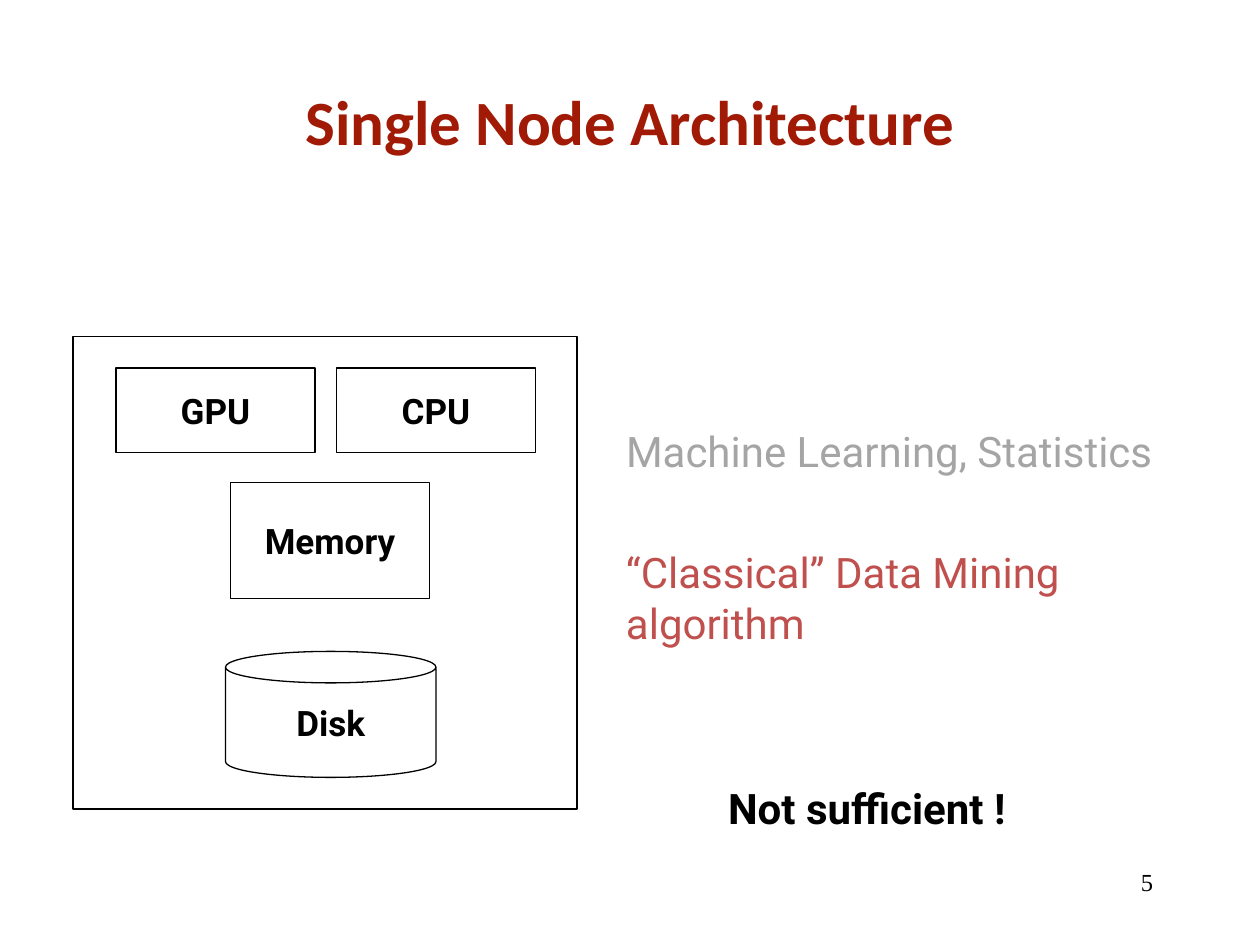
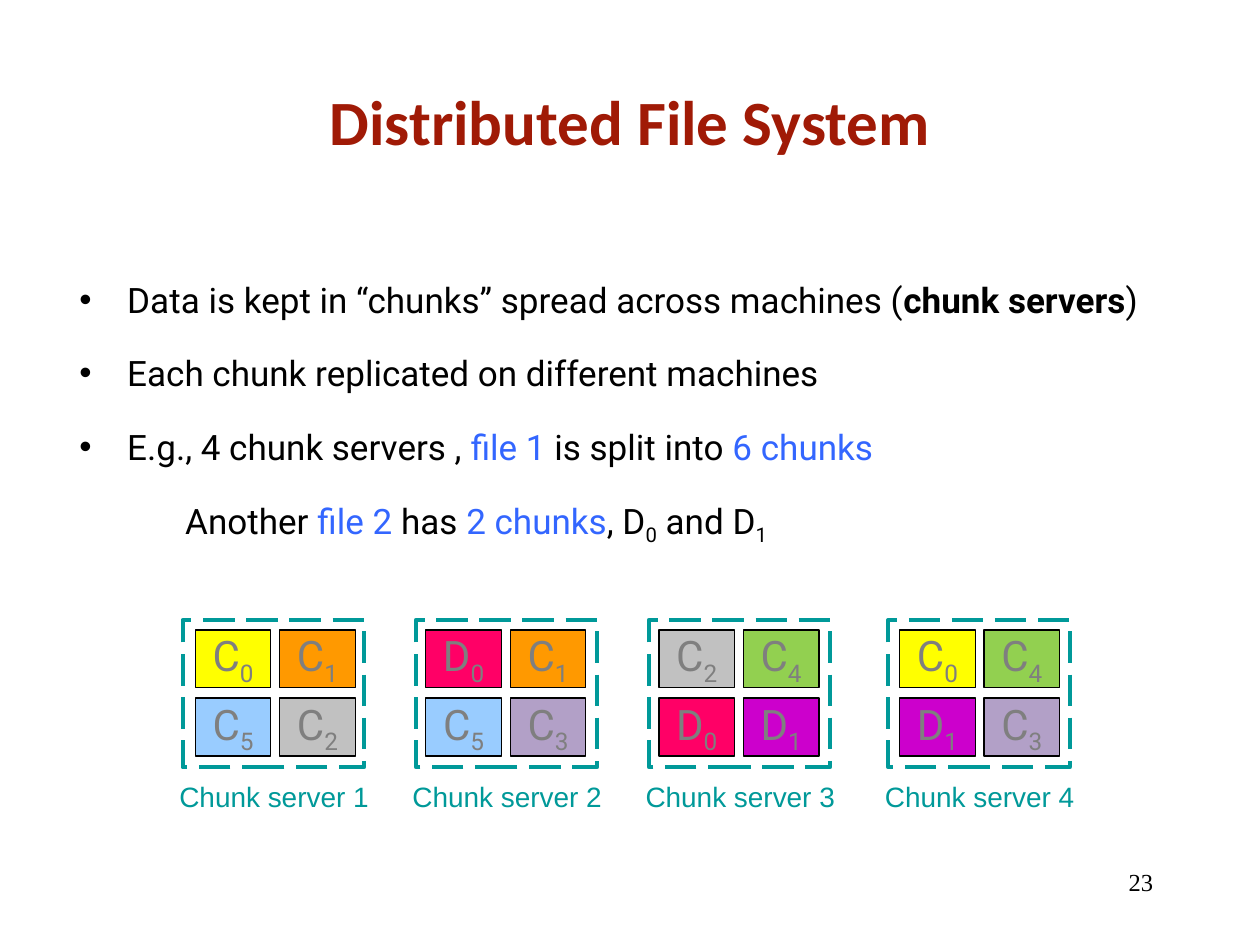
"""Build two slides on single node architecture and distributed file systems."""

from dataclasses import dataclass
from itertools import product

from lxml.etree import SubElement
from pptx import Presentation
from pptx.dml.color import RGBColor
from pptx.enum.dml import MSO_LINE
from pptx.enum.shapes import MSO_SHAPE as Shape
from pptx.enum.text import MSO_ANCHOR as Anchor, MSO_AUTO_SIZE as AutoSize, PP_ALIGN as Align
from pptx.oxml.ns import qn
from pptx.util import Inches, Pt


@dataclass(frozen=True)
class Theme:
    """Colours, fonts and type sizes shared by the slides."""

    title: str = "A01A06"
    text: str = "000000"
    muted: str = "A5A5A5"
    alert: str = "C0504D"
    accent: str = "3366FF"
    server: str = "009999"
    chunk_text: str = "7F7F7F"
    title_font: str = "Calibri"
    body_font: str = "Roboto"
    label_font: str = "Arial"
    number_font: str = "Times New Roman"
    title_size: int = 36
    note_size: int = 24
    body_size: int = 20
    label_size: int = 16
    number_size: int = 14
    thin: float = 0.75
    thick: float = 2.25


@dataclass(frozen=True)
class Style:
    """Look of a run of text."""

    size: int
    color: str = "000000"
    font: str = "Roboto"
    bold: bool = False
    subscript: bool = False


@dataclass(frozen=True)
class Server:
    """A chunk server: frame position, chunk position and chunk names by row."""

    frame_left: float
    chunk_left: float
    chunks: tuple


THEME = Theme()
BODY = Style(THEME.body_size)
BODY_BOLD = Style(THEME.body_size, bold=True)
BODY_ACCENT = Style(THEME.body_size, THEME.accent)
BODY_SUB = Style(THEME.body_size, subscript=True)
TITLE = Style(THEME.title_size, THEME.title, THEME.title_font, bold=True)
NUMBER = Style(THEME.number_size, THEME.text, THEME.number_font)
LABEL = Style(THEME.label_size, THEME.server, THEME.label_font)
CHUNK = Style(THEME.note_size, THEME.chunk_text)
CHUNK_SUB = Style(THEME.note_size, THEME.chunk_text, subscript=True)

TITLE_AND_CONTENT, TITLE_ONLY = 1, 5
BULLET_INDENT = 0.38
CHUNK_FILLS = {
    "C0": "FFFF00", "C1": "FF9900", "C2": "C1C1C1", "C3": "B2A0C7",
    "C4": "92D050", "C5": "99CCFF", "D0": "FF0066", "D1": "CC00CC",
}
SERVERS = (
    Server(1.45, 1.55, ("C0", "C1", "C5", "C2")),
    Server(3.3, 3.38, ("D0", "C1", "C5", "C3")),
    Server(5.15, 5.23, ("C2", "C4", "D0", "D1")),
    Server(7.05, 7.14, ("C0", "C4", "D1", "C3")),
)
BULLETS = (
    (("Data is kept in “chunks” spread across machines (", BODY),
     ("chunk servers", BODY_BOLD), (")", BODY)),
    (("Each chunk replicated on different machines", BODY),),
    (("E.g., 4 chunk servers , ", BODY), ("file 1", BODY_ACCENT),
     (" is split into ", BODY), ("6 chunks", BODY_ACCENT)),
)
CONTINUATION = (
    ("Another ", BODY), ("file 2", BODY_ACCENT), (" has ", BODY),
    ("2 chunks", BODY_ACCENT), (", D", BODY), ("0", BODY_SUB),
    (" and D", BODY), ("1", BODY_SUB),
)


def add_runs(paragraph, *runs):
    """Append (text, style) runs to a paragraph."""
    for text, style in runs:
        run = paragraph.add_run()
        run.text = text
        run.font.name = style.font
        run.font.size = Pt(style.size)
        run.font.bold = style.bold
        run.font.color.rgb = RGBColor.from_string(style.color)
        if style.subscript:
            run.font._element.set("baseline", "-25000")


def place(shape, box):
    """Move a shape to a box of left, top, width and height in inches."""
    shape.left, shape.top, shape.width, shape.height = map(Inches, box)


def add_text(slide, box, text, style, align=Align.LEFT, margin=0.1):
    """Add a wrapping one-paragraph text box."""
    frame = slide.shapes.add_textbox(*map(Inches, box)).text_frame
    frame.word_wrap = True
    frame.margin_left = frame.margin_right = Inches(margin)
    paragraph = frame.paragraphs[0]
    paragraph.alignment = align
    add_runs(paragraph, (text, style))


def add_outlined(slide, kind, box, fill=None, line=THEME.text, width=THEME.thin):
    """Add a preset shape with an outline and an optional fill."""
    shape = slide.shapes.add_shape(kind, *map(Inches, box))
    shape.shadow.inherit = False
    if fill:
        shape.fill.solid()
        shape.fill.fore_color.rgb = RGBColor.from_string(fill)
    else:
        shape.fill.background()
    shape.line.color.rgb = RGBColor.from_string(line)
    shape.line.width = Pt(width)
    return shape


def add_component(slide, kind, box, name):
    """Add a named hardware component."""
    frame = add_outlined(slide, kind, box).text_frame
    frame.vertical_anchor = Anchor.MIDDLE
    frame.paragraphs[0].alignment = Align.CENTER
    add_runs(frame.paragraphs[0], (name, BODY_BOLD))


def add_chunk(slide, left, top, name):
    """Add a coloured chunk with its index as a subscript."""
    box = (left, top, 0.6, 0.46)
    frame = add_outlined(slide, Shape.RECTANGLE, box, CHUNK_FILLS[name]).text_frame
    frame.margin_left = frame.margin_right = frame.margin_top = frame.margin_bottom = 0
    frame.vertical_anchor = Anchor.TOP
    frame.paragraphs[0].alignment = Align.CENTER
    add_runs(frame.paragraphs[0], (name[0], CHUNK), (name[1:], CHUNK_SUB))


def add_server(slide, number, server):
    """Add a dashed server frame, its label and its two-by-two chunks."""
    frame_box = (server.frame_left, 4.92, 1.44, 1.17)
    frame = add_outlined(slide, Shape.RECTANGLE, frame_box, None, THEME.server, THEME.thick)
    frame.line.dash_style = MSO_LINE.LONG_DASH
    label_box = (server.frame_left - 0.13, 6.14, 1.71, 0.37)
    add_text(slide, label_box, f"Chunk server {number}", LABEL, Align.CENTER, margin=0)
    for (row, column), name in zip(product(range(2), repeat=2), server.chunks):
        add_chunk(slide, server.chunk_left + 0.67 * column, 5 + 0.54 * row, name)


def set_bullet(paragraph, left, bullet=None):
    """Indent a paragraph, with a hanging bullet if one is given."""
    properties = paragraph._p.get_or_add_pPr()
    properties.set("marL", str(Inches(left)))
    properties.set("indent", str(Inches(-left) if bullet else 0))
    if bullet:
        SubElement(properties, qn("a:buChar")).set("char", bullet)
    else:
        SubElement(properties, qn("a:buNone"))


def fill_body(body):
    """Write the bullet list and its continuation line."""
    place(body, (0.53, 2.16, 9.27, 2.2))
    frame = body.text_frame
    frame.auto_size = AutoSize.NONE
    frame.vertical_anchor = Anchor.TOP
    for index, runs in enumerate((*BULLETS, CONTINUATION)):
        paragraph = frame.add_paragraph() if index else frame.paragraphs[0]
        paragraph.space_before = Pt(18 if index else 0)
        if runs is CONTINUATION:
            set_bullet(paragraph, 0.84)
        else:
            set_bullet(paragraph, BULLET_INDENT, "•")
        add_runs(paragraph, *runs)


def add_slide(presentation, layout, title, number):
    """Add a slide with the shared title and page number."""
    slide = presentation.slides.add_slide(presentation.slide_layouts[layout])
    heading = slide.shapes.title
    place(heading, (0.75, 0.33, 8.5, 1.25))
    heading.text_frame.vertical_anchor = Anchor.MIDDLE
    paragraph = heading.text_frame.paragraphs[0]
    paragraph.alignment = Align.CENTER
    add_runs(paragraph, (title, TITLE))
    add_text(slide, (7.17, 6.83, 2.08, 0.5), str(number), NUMBER, Align.RIGHT)
    return slide


def add_single_node_slide(presentation):
    """Show the parts of one machine beside the methods that use them."""
    slide = add_slide(presentation, TITLE_ONLY, "Single Node Architecture", 5)
    add_outlined(slide, Shape.RECTANGLE, (0.58, 2.67, 4, 3.75))
    for kind, box, name in (
        (Shape.RECTANGLE, (0.92, 2.92, 1.58, 0.67), "GPU"),
        (Shape.RECTANGLE, (2.67, 2.92, 1.58, 0.67), "CPU"),
        (Shape.RECTANGLE, (1.83, 3.83, 1.58, 0.92), "Memory"),
        (Shape.CAN, (1.79, 5.17, 1.67, 1), "Disk"),
    ):
        add_component(slide, kind, box, name)
    for box, text, color, bold in (
        ((4.87, 3.33, 4.42, 0.5), "Machine Learning, Statistics", THEME.muted, False),
        ((4.87, 4.29, 5.13, 0.5), "“Classical” Data Mining algorithm", THEME.alert, False),
        ((5.68, 6.16, 2.8, 0.5), "Not sufficient !", THEME.text, True),
    ):
        add_text(slide, box, text, Style(THEME.note_size, color, bold=bold))


def add_file_system_slide(presentation):
    """Explain chunk replication above a diagram of four chunk servers."""
    slide = add_slide(presentation, TITLE_AND_CONTENT, "Distributed File System", 23)
    fill_body(slide.placeholders[1])
    for number, server in enumerate(SERVERS, start=1):
        add_server(slide, number, server)


def main():
    """Build and save the presentation."""
    presentation = Presentation()
    presentation.slide_width, presentation.slide_height = Inches(10), Inches(7.5)
    add_single_node_slide(presentation)
    add_file_system_slide(presentation)
    presentation.save("out.pptx")


if __name__ == "__main__":
    main()
